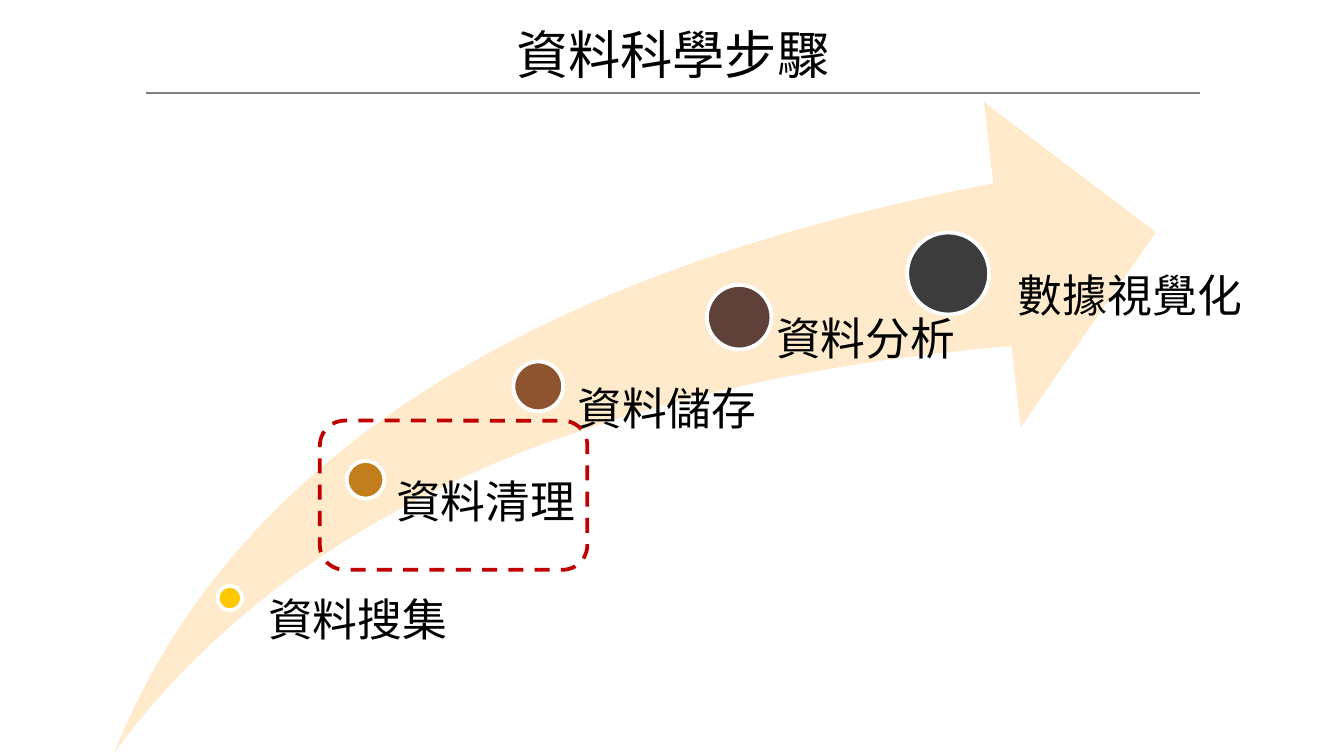
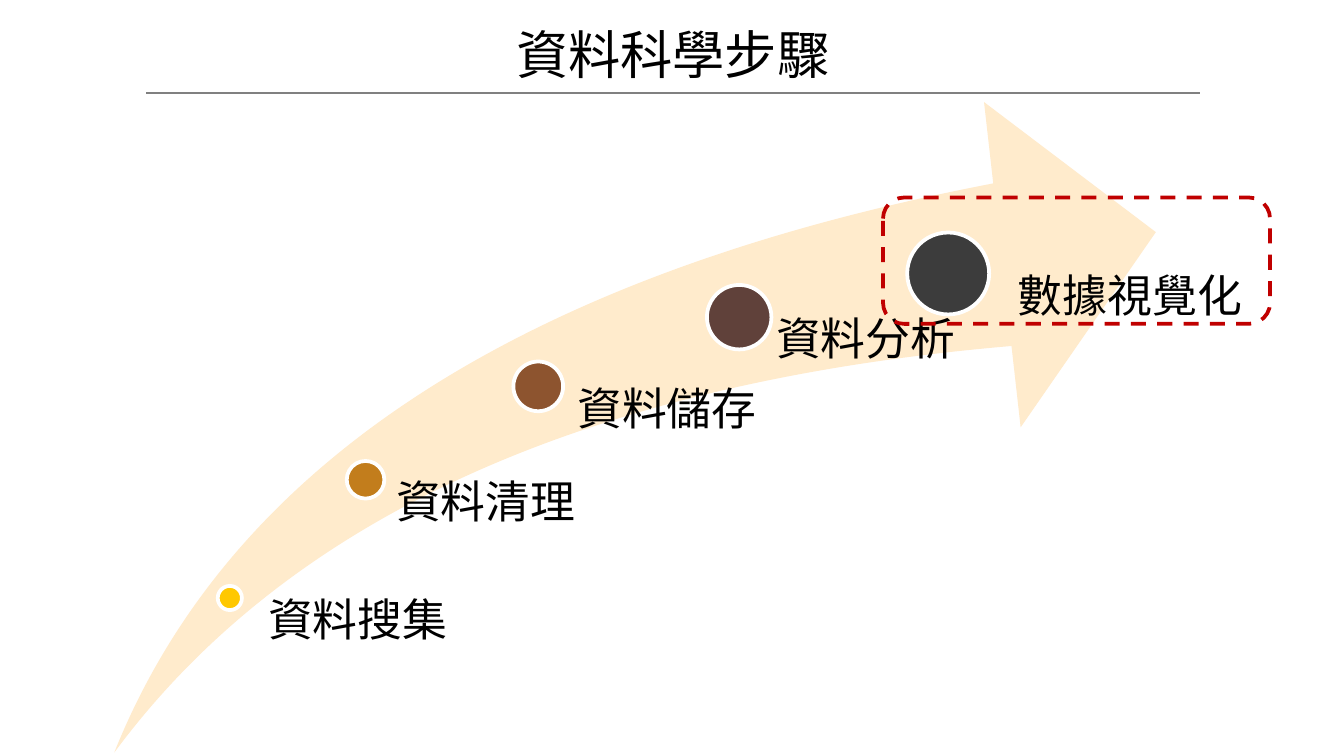
from dataclasses import dataclass

from lxml import etree
from pptx import Presentation
from pptx.dml.color import RGBColor
from pptx.enum.dml import MSO_LINE
from pptx.enum.shapes import MSO_CONNECTOR, MSO_SHAPE
from pptx.enum.text import MSO_ANCHOR, PP_ALIGN
from pptx.oxml.ns import qn
from pptx.util import Inches, Pt

SWOOSH, OVAL, ROUNDED = MSO_SHAPE.SWOOSH_ARROW, MSO_SHAPE.OVAL, MSO_SHAPE.ROUNDED_RECTANGLE
STRAIGHT = MSO_CONNECTOR.STRAIGHT
DASH = MSO_LINE.DASH
CENTER, LEFT = PP_ALIGN.CENTER, PP_ALIGN.LEFT
MIDDLE, TOP = MSO_ANCHOR.MIDDLE, MSO_ANCHOR.TOP


@dataclass(frozen=True)
class Theme:
    text: str = "000000"
    rule: str = "808080"
    arrow: str = "FFEBCC"
    outline: str = "FFFFFF"
    highlight: str = "C00000"
    title_font: str = "Noto Sans CJK SC"
    label_font: str = "Cabin"
    title_size: int = 28
    label_size: int = 24
    rule_width: int = 1
    outline_width: int = 2


TITLE = "資料科學步驟"
FLOW_BOTTOM = 5.6
INSET_RATIO = 0.53
STEPS = [
    ("資料搜集", "FFC800", 1.62, 4.36, 0.18, 1.9, 2.42),
    ("資料清理", "C27D1C", 2.58, 3.43, 0.28, 2.8, 1.54),
    ("資料儲存", "8D542F", 3.82, 2.69, 0.37, 4.1, 2.06),
    ("資料分析", "60413A", 5.26, 2.12, 0.48, 5.52, 1.94),
    ("數據視覺化", "3C3C3C", 6.75, 1.73, 0.61, 7.25, 2.01),
]
HIGHLIGHTS = [(2.38, 3.13, 1.99, 1.11), (6.57, 1.47, 2.88, 0.94)]


class Deck:
    def __init__(self, theme):
        self.theme = theme
        self.prs = Presentation()
        self.prs.slide_width = Inches(10)
        self.prs.slide_height = Inches(10 * 9 / 16)

    def new_slide(self):
        self.s = self.prs.slides.add_slide(self.prs.slide_layouts[6])

    def text(self, shapes, box, text, font, size, align=LEFT, anchor=TOP, inset=0, spacing=None):
        tf = shapes.add_textbox(*map(Inches, box)).text_frame
        tf.word_wrap = True
        tf.vertical_anchor = anchor
        tf.margin_left = Inches(inset)
        tf.margin_top = tf.margin_right = tf.margin_bottom = 0
        p = tf.paragraphs[0]
        p.text = text
        p.alignment = align
        p.line_spacing = spacing
        p.font.name = font
        p.font.size = Pt(size)
        p.font.color.rgb = RGBColor.from_string(self.theme.text)
        latin = next(p._p.iter(qn("a:latin")))
        latin.addnext(etree.Element(qn("a:ea"), typeface=font))

    def shape(self, shapes, kind, box, fill=None, line=None, dash=None):
        sp = shapes.add_shape(kind, *map(Inches, box))
        sp.shadow.inherit = False
        if fill:
            sp.fill.solid()
            sp.fill.fore_color.rgb = RGBColor.from_string(fill)
        else:
            sp.fill.background()
        if line:
            sp.line.color.rgb = RGBColor.from_string(line)
            sp.line.width = Pt(self.theme.outline_width)
            sp.line.dash_style = dash
        else:
            sp.line.fill.background()
        return sp

    def rule(self, left, right, y):
        line = self.s.shapes.add_connector(STRAIGHT, *map(Inches, (left, y, right, y)))
        line.line.color.rgb = RGBColor.from_string(self.theme.rule)
        line.line.width = Pt(self.theme.rule_width)
        etree.SubElement(line._element.spPr, qn("a:effectLst"))

    def title(self, text):
        self.text(self.s.shapes, (1.75, 0.14, 6.51, 0.52), text, self.theme.title_font,
                  self.theme.title_size, CENTER, MIDDLE)
        self.rule(1.09, 8.93, 0.69)

    def flow(self, steps):
        shapes = self.s.shapes.add_group_shape().shapes
        arrow = self.shape(shapes, SWOOSH, (0.85, 0.76, 7.75, 4.84), self.theme.arrow)
        arrow.adjustments[0] = arrow.adjustments[1] = 0.25
        for name, color, x, y, size, label_x, label_w in steps:
            self.shape(shapes, OVAL, (x, y, size, size), color, self.theme.outline)
            label_y = y + size / 2
            self.text(shapes, (label_x, label_y, label_w, FLOW_BOTTOM - label_y), name,
                      self.theme.label_font, self.theme.label_size,
                      inset=size * INSET_RATIO, spacing=0.9)

    def highlight(self, box):
        self.shape(self.s.shapes, ROUNDED, box, line=self.theme.highlight, dash=DASH)


def main():
    deck = Deck(Theme())
    for box in HIGHLIGHTS:
        deck.new_slide()
        deck.title(TITLE)
        deck.flow(STEPS)
        deck.highlight(box)
    deck.prs.save("out.pptx")


if __name__ == "__main__":
    main()
